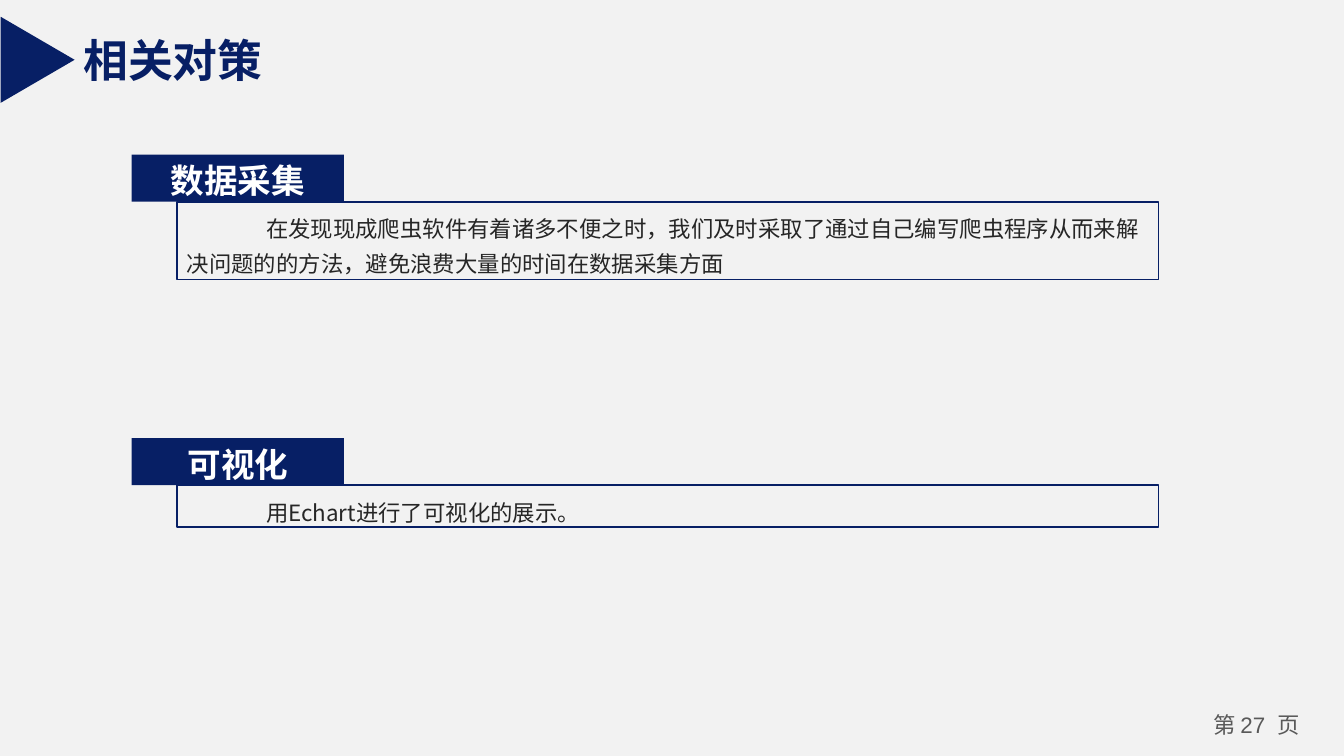
from dataclasses import dataclass

from lxml import etree
from pptx import Presentation
from pptx.dml.color import RGBColor
from pptx.enum.shapes import MSO_SHAPE
from pptx.enum.text import MSO_ANCHOR, MSO_AUTO_SIZE, PP_ALIGN
from pptx.oxml.ns import qn
from pptx.util import Inches, Pt

RECT, TRIANGLE = MSO_SHAPE.RECTANGLE, MSO_SHAPE.ISOSCELES_TRIANGLE
TOP, MIDDLE = MSO_ANCHOR.TOP, MSO_ANCHOR.MIDDLE
LEFT, CENTER = PP_ALIGN.LEFT, PP_ALIGN.CENTER


@dataclass(frozen=True)
class Theme:
    navy: RGBColor = RGBColor(0x07, 0x1F, 0x65)
    paper: RGBColor = RGBColor(0xF2, 0xF2, 0xF2)
    ink: RGBColor = RGBColor(0x26, 0x26, 0x26)
    grey: RGBColor = RGBColor(0x59, 0x59, 0x59)
    white: RGBColor = RGBColor(0xFF, 0xFF, 0xFF)
    cjk: str = "Noto Sans CJK SC"
    latin: str = "Arial"
    title: Pt = Pt(24)
    label: Pt = Pt(18)
    body: Pt = Pt(12)
    leading: Pt = Pt(18.8)


@dataclass(frozen=True)
class Measure:
    label: str
    text: str
    top: float
    height: float


THEME = Theme()
WIDTH = 10
HEIGHT = WIDTH * 9 / 16
LABEL_HEIGHT = 0.35
MEASURES = [
    Measure("数据采集", "在发现现成爬虫软件有着诸多不便之时，我们及时采取了通过自己编写爬虫程序"
            "从而来解决问题的的方法，避免浪费大量的时间在数据采集方面", 1.15, 0.58),
    Measure("可视化", "用Echart进行了可视化的展示。", 3.26, 0.31),
]


def format_run(r, size: Pt, color: RGBColor, bold: bool = False,
               latin: str = THEME.cjk) -> None:
    r.font.size, r.font.bold, r.font.name = size, bold, latin
    r.font.color.rgb = color
    ea = etree.Element(qn("a:ea"), typeface=THEME.cjk)
    r.font._element.find(qn("a:latin")).addnext(ea)


def set_frame(tf, anchor, x_inset: float = 0.07, y_inset: float = 0.04,
              wrap: bool = True) -> None:
    tf.auto_size = MSO_AUTO_SIZE.NONE
    tf.word_wrap = wrap
    tf.vertical_anchor = anchor
    tf.margin_left = tf.margin_right = Inches(x_inset)
    tf.margin_top = tf.margin_bottom = Inches(y_inset)


def add_block(s, kind, left: float, top: float, width: float, height: float,
              fill: RGBColor, line: bool = False):
    sp = s.shapes.add_shape(kind, Inches(left), Inches(top), Inches(width), Inches(height))
    sp.shadow.inherit = False
    sp.fill.solid()
    sp.fill.fore_color.rgb = fill
    if line:
        sp.line.color.rgb = THEME.navy
        sp.line.width = Pt(1)
    else:
        sp.line.fill.background()
    return sp


def add_measure(s, m: Measure) -> None:
    # Outlined description, with an indented first line
    box = add_block(s, RECT, 1.32, m.top + LABEL_HEIGHT, 7.3, m.height, THEME.paper, line=True)
    set_frame(box.text_frame, TOP)
    p = box.text_frame.paragraphs[0]
    p.text = m.text
    p.alignment = LEFT
    p.line_spacing = THEME.leading
    p._p.get_or_add_pPr().set("indent", str(Inches(0.59)))
    format_run(p.runs[0], THEME.body, THEME.ink)

    # Solid label on its upper left corner, its text set slightly low
    tab = add_block(s, RECT, 0.98, m.top, 1.58, LABEL_HEIGHT, THEME.navy)
    set_frame(tab.text_frame, MIDDLE)
    tab.text_frame.margin_top = Inches(0.07)
    p = tab.text_frame.paragraphs[0]
    p.text = m.label
    p.alignment = CENTER
    format_run(p.runs[0], THEME.label, THEME.white, bold=True)


def add_title(s, text: str) -> None:
    sp = s.shapes.title
    sp.left, sp.top, sp.width, sp.height = map(Inches, (0.52, 0.19, 1.55, 0.5))
    set_frame(sp.text_frame, MIDDLE, 0.1, 0.05, wrap=False)
    p = sp.text_frame.paragraphs[0]
    p.text = text
    p.alignment = LEFT
    format_run(p.runs[0], THEME.title, THEME.navy, bold=True, latin=THEME.latin)
    marker = add_block(s, TRIANGLE, -0.04, 0.17, 0.64, 0.55, THEME.navy)
    marker.rotation = 90


def add_page_number(s, number: int) -> None:
    sp = s.shapes.add_textbox(Inches(8.9), Inches(5.24), Inches(0.9), Inches(0.3))
    set_frame(sp.text_frame, MIDDLE)
    p = sp.text_frame.paragraphs[0]
    p.alignment = CENTER
    for text, font in (("第 ", THEME.cjk), (f"{number}  ", THEME.latin), ("页", THEME.cjk)):
        r = p.add_run()
        r.text = text
        format_run(r, THEME.body, THEME.grey, latin=font)


def main() -> None:
    prs = Presentation()
    prs.slide_width, prs.slide_height = Inches(WIDTH), Inches(HEIGHT)
    s = prs.slides.add_slide(prs.slide_layouts[5])
    s.background.fill.solid()
    s.background.fill.fore_color.rgb = THEME.paper

    add_page_number(s, 27)
    for m in MEASURES:
        add_measure(s, m)
    add_title(s, "相关对策")
    prs.save("out.pptx")


if __name__ == "__main__":
    main()
